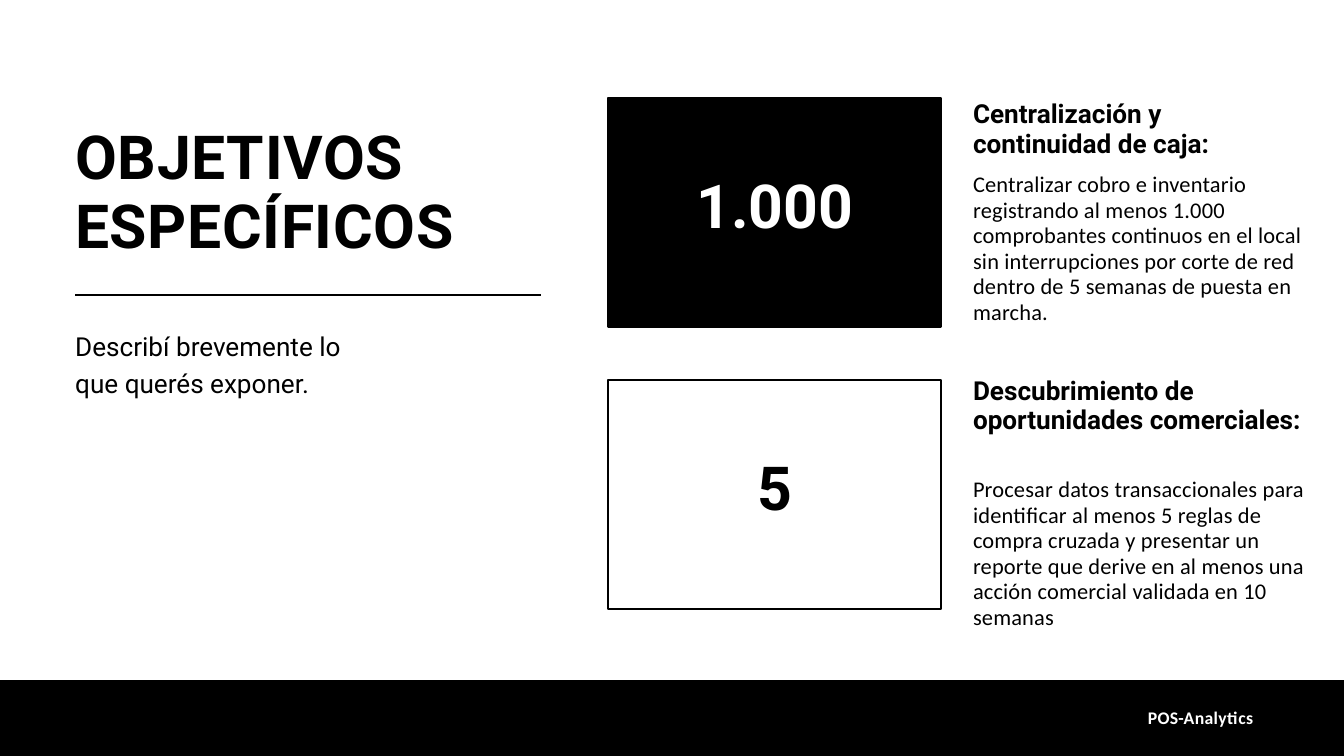
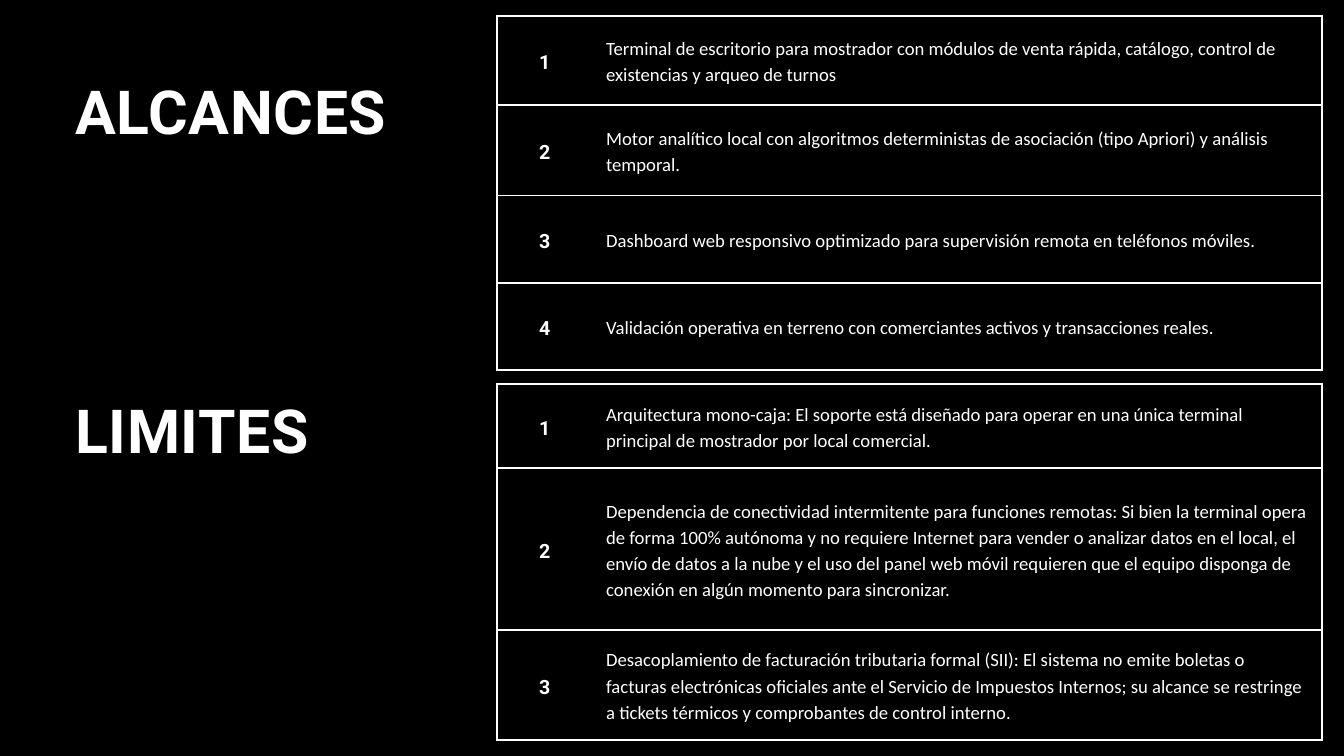
from lxml.etree import SubElement
from pptx import Presentation
from pptx.dml.color import RGBColor
from pptx.enum.shapes import MSO_CONNECTOR, MSO_SHAPE
from pptx.enum.text import MSO_ANCHOR, PP_ALIGN
from pptx.oxml import parse_xml
from pptx.oxml.ns import nsdecls, qn
from pptx.util import Inches, Pt

# Shared look
BLACK, WHITE = "000000", "FFFFFF"
WIDTH, HEIGHT = 20, 11.25
MARGIN = 1.12
BORDER = 2.25

# Each text style: font attributes, line spacing and letter spacing in points
STYLES = {
    "title": ({"name": "Roboto", "size": Pt(65), "bold": True}, 74.1, 0.7),
    "subtitle": ({"name": "Roboto", "size": Pt(28), "bold": False}, 39.2, 0),
    "figure": ({"name": "Roboto", "size": Pt(65), "bold": True}, 91, 0),
    "heading": ({"name": "Roboto", "size": Pt(28), "bold": True}, 31.9, 0),
    "body": ({"name": "Calibri", "size": Pt(24), "bold": False}, 27.4, 0.2),
    "footer": ({"name": "Calibri", "size": Pt(19), "bold": True}, 21.6, 0.4),
    "row number": ({"name": "Roboto", "size": Pt(21), "bold": True}, 29.4, 0),
    "row text": ({"name": "Calibri", "size": Pt(20), "bold": False}, 28, 0),
}

# Content
GOALS = [
    {"figure": "1.000", "heading": "Centralización y continuidad de caja:",
     "body": "Centralizar cobro e inventario registrando al menos 1.000 "
             "comprobantes continuos en el local sin interrupciones por corte "
             "de red dentro de 5 semanas de puesta en marcha.",
     "top": 1.46, "heading_top": 1.48, "body_top": 2.55, "text_width": 4.92,
     "fill": BLACK, "color": WHITE},
    {"figure": "5", "heading": "Descubrimiento de oportunidades comerciales:",
     "body": "Procesar datos transaccionales para identificar al menos 5 "
             "reglas de compra cruzada y presentar un reporte que derive en al "
             "menos una acción comercial validada en 10 semanas",
     "top": 5.66, "heading_top": 5.59, "body_top": 7.09, "text_width": 5.06,
     "fill": None, "color": BLACK},
]
SCOPE = [
    (1.32, "Terminal de escritorio para mostrador con módulos de venta rápida, "
           "catálogo, control de existencias y arqueo de turnos"),
    (1.35, "Motor analítico local con algoritmos deterministas de asociación "
           "(tipo Apriori) y análisis temporal."),
    (1.3, "Dashboard web responsivo optimizado para supervisión remota en "
          "teléfonos móviles."),
    (1.3, "Validación operativa en terreno con comerciantes activos y "
          "transacciones reales."),
]
LIMITS = [
    (1.25, "Arquitectura mono-caja: El soporte está diseñado para operar en una "
           "única terminal principal de mostrador por local comercial."),
    (2.41, "Dependencia de conectividad intermitente para funciones remotas: Si "
           "bien la terminal opera de forma 100% autónoma y no requiere Internet "
           "para vender o analizar datos en el local, el envío de datos a la nube "
           "y el uso del panel web móvil requieren que el equipo disponga de "
           "conexión en algún momento para sincronizar."),
    (1.63, "Desacoplamiento de facturación tributaria formal (SII): El sistema no "
           "emite boletas o facturas electrónicas oficiales ante el Servicio de "
           "Impuestos Internos; su alcance se restringe a tickets térmicos y "
           "comprobantes de control interno."),
]


def paint(target, color):
    """Give a fill one solid colour, or none."""
    if color is None:
        target.background()
    else:
        target.solid()
        target.fore_color.rgb = RGBColor.from_string(color)


def place(left, top, width, height):
    return [Inches(value) for value in (left, top, width, height)]


def write(frame, text, style, color, align=PP_ALIGN.LEFT):
    """Write one paragraph per line of text."""
    font_format, line_spacing, letter_spacing = STYLES[style]
    for index, line in enumerate(text.split("\n")):
        para = frame.add_paragraph() if index else frame.paragraphs[0]
        para.alignment = align
        para.line_spacing = Pt(line_spacing)
        span = para.add_run()
        span.text = line
        for name, value in font_format.items():
            setattr(span.font, name, value)
        span.font.color.rgb = RGBColor.from_string(color)
        if letter_spacing:
            span.font._element.set("spc", str(round(letter_spacing * 100)))


def add_page(deck, background):
    page = deck.slides.add_slide(deck.slide_layouts[6])
    paint(page.background.fill, background)
    return page


def add_text(page, area, text, style, color, align=PP_ALIGN.LEFT,
             anchor=MSO_ANCHOR.TOP, inset=0):
    frame = page.shapes.add_textbox(*place(*area)).text_frame
    frame.word_wrap = True
    frame.vertical_anchor = anchor
    for side in ("left", "top", "right", "bottom"):
        setattr(frame, f"margin_{side}", Inches(inset))
    write(frame, text, style, color, align)


def add_panel(page, area, fill, line=None):
    panel = page.shapes.add_shape(MSO_SHAPE.RECTANGLE, *place(*area))
    panel.shadow.inherit = False
    paint(panel.fill, fill)
    paint(panel.line.fill, line)
    if line:
        panel.line.width = Pt(BORDER)


def add_rule(page, left, right, top):
    rule = page.shapes.add_connector(
        MSO_CONNECTOR.STRAIGHT, Inches(left), Inches(top), Inches(right), Inches(top))
    rule.line.width = Pt(3)
    paint(rule.line.fill, BLACK)
    SubElement(rule._element.spPr, qn("a:effectLst"))


def add_goal(page, goal):
    """A framed figure with its heading and description on the right."""
    left, width, height, raise_by = 9.05, 4.96, 3.4, 0.43
    add_panel(page, (left, goal["top"], width, height), goal["fill"], BLACK)
    add_text(page, (left, goal["top"] - raise_by, width, height + raise_by),
             goal["figure"], "figure", goal["color"], PP_ALIGN.CENTER,
             MSO_ANCHOR.MIDDLE, 0.06)
    for part, part_height in (("heading", 0.87), ("body", 2.27)):
        add_text(page, (14.48, goal[f"{part}_top"], goal["text_width"], part_height),
                 goal[part], part, BLACK)


def set_borders(cell, open_side):
    """Draw white cell borders, leaving one side open."""
    properties = cell._tc.get_or_add_tcPr()
    for index, side in enumerate("LRTB"):
        fill = ("<a:noFill/>" if side == open_side else
                f'<a:solidFill><a:srgbClr val="{WHITE}"/></a:solidFill>')
        properties.insert(index, parse_xml(
            f'<a:ln{side} {nsdecls("a")} w="{Pt(BORDER)}">{fill}</a:ln{side}>'))


def add_numbered_table(page, top, rows):
    columns = (1.41, 10.86)
    area = place(7.4, top, sum(columns), sum(height for height, _ in rows))
    table = page.shapes.add_table(len(rows), len(columns), *area).table
    table.first_row = table.horz_banding = False
    for column, width in zip(table.columns, columns):
        column.width = Inches(width)
    for index, (height, text) in enumerate(rows):
        table.rows[index].height = Inches(height)
        cells = ((str(index + 1), "row number", PP_ALIGN.CENTER, "R"),
                 (text, "row text", PP_ALIGN.LEFT, "L"))
        for cell, (words, style, align, open_side) in zip(table.rows[index].cells, cells):
            cell.vertical_anchor = MSO_ANCHOR.MIDDLE
            for side in ("left", "top", "right", "bottom"):
                setattr(cell, f"margin_{side}", Inches(0.21))
            paint(cell.fill, None)
            set_borders(cell, open_side)
            write(cell.text_frame, words, style, WHITE, align)


def build_goals(deck):
    page = add_page(deck, WHITE)
    # Footer band
    add_panel(page, (0, 10.12, WIDTH, HEIGHT - 10.12), BLACK)
    add_text(page, (17.08, 10.54, 2.92, 0.3), "POS-Analytics", "footer", WHITE)
    # Title column
    width = 6.93
    add_text(page, (MARGIN, 1.82, width, 2.07), "OBJETIVOS ESPECÍFICOS", "title", BLACK)
    add_rule(page, MARGIN, MARGIN + width, 4.39)
    add_text(page, (MARGIN, 4.84, width, 1.04),
             "Describí brevemente lo\nque querés exponer.", "subtitle", BLACK)
    # Goals
    for goal in GOALS:
        add_goal(page, goal)


def build_scope_and_limits(deck):
    page = add_page(deck, BLACK)
    sections = (("ALCANCES", 1.16, 0.24, SCOPE), ("LIMITES", 5.9, 5.72, LIMITS))
    for title, title_top, table_top, rows in sections:
        add_numbered_table(page, table_top, rows)
        add_text(page, (MARGIN, title_top, 5.74, 1.04), title, "title", WHITE)


def main():
    deck = Presentation()
    deck.slide_width, deck.slide_height = Inches(WIDTH), Inches(HEIGHT)
    build_goals(deck)
    build_scope_and_limits(deck)
    deck.save("out.pptx")


if __name__ == "__main__":
    main()
